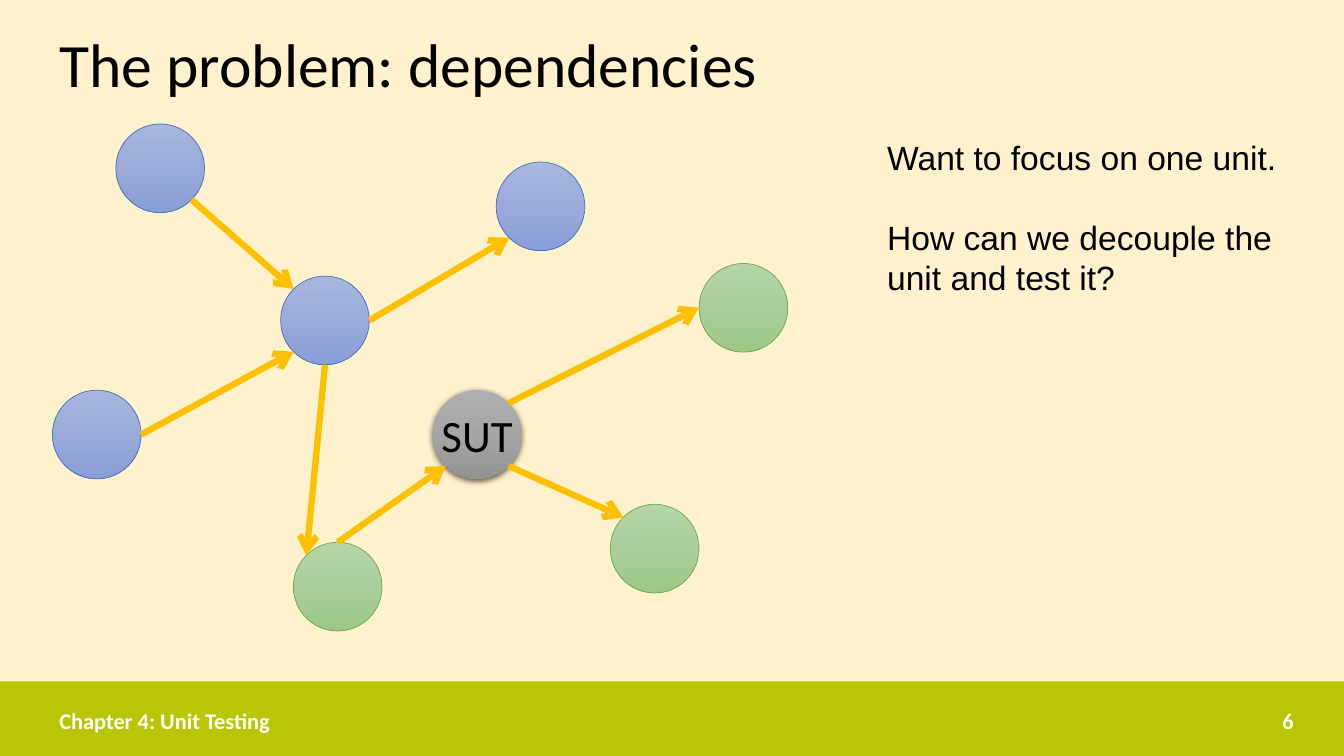
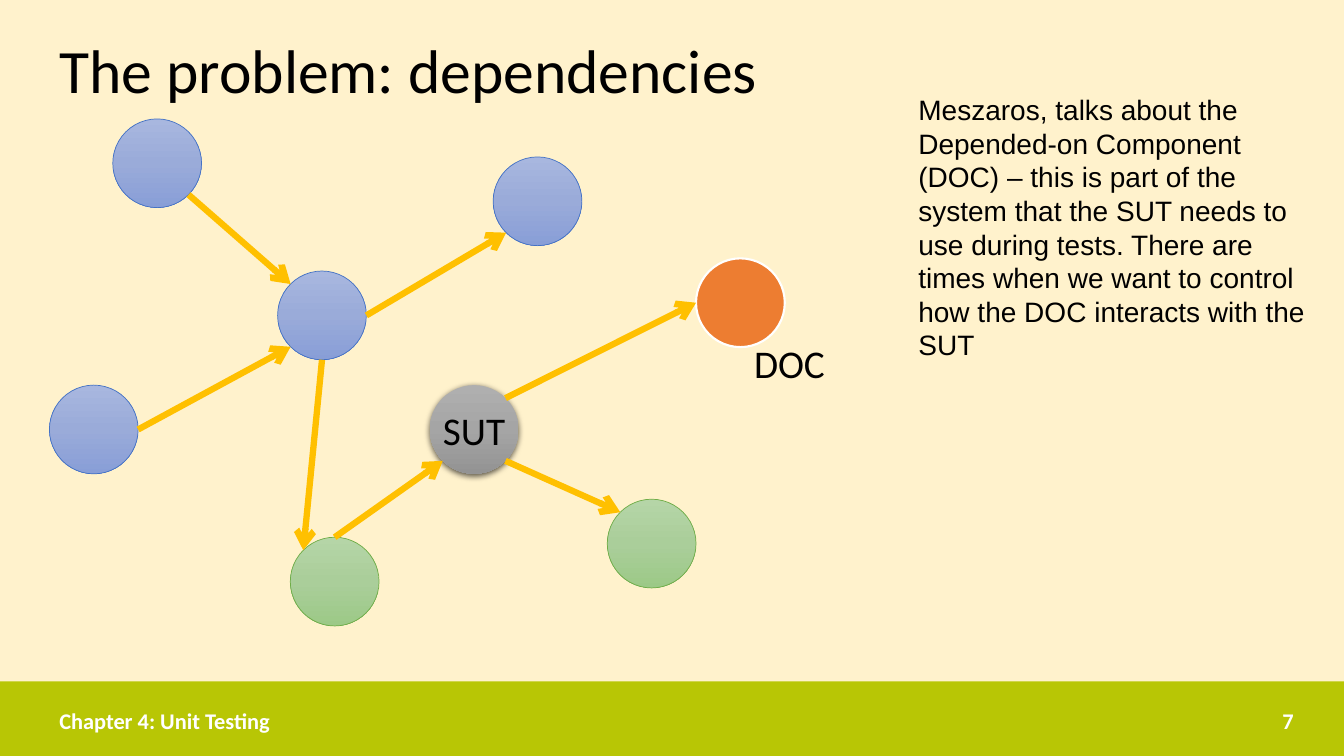
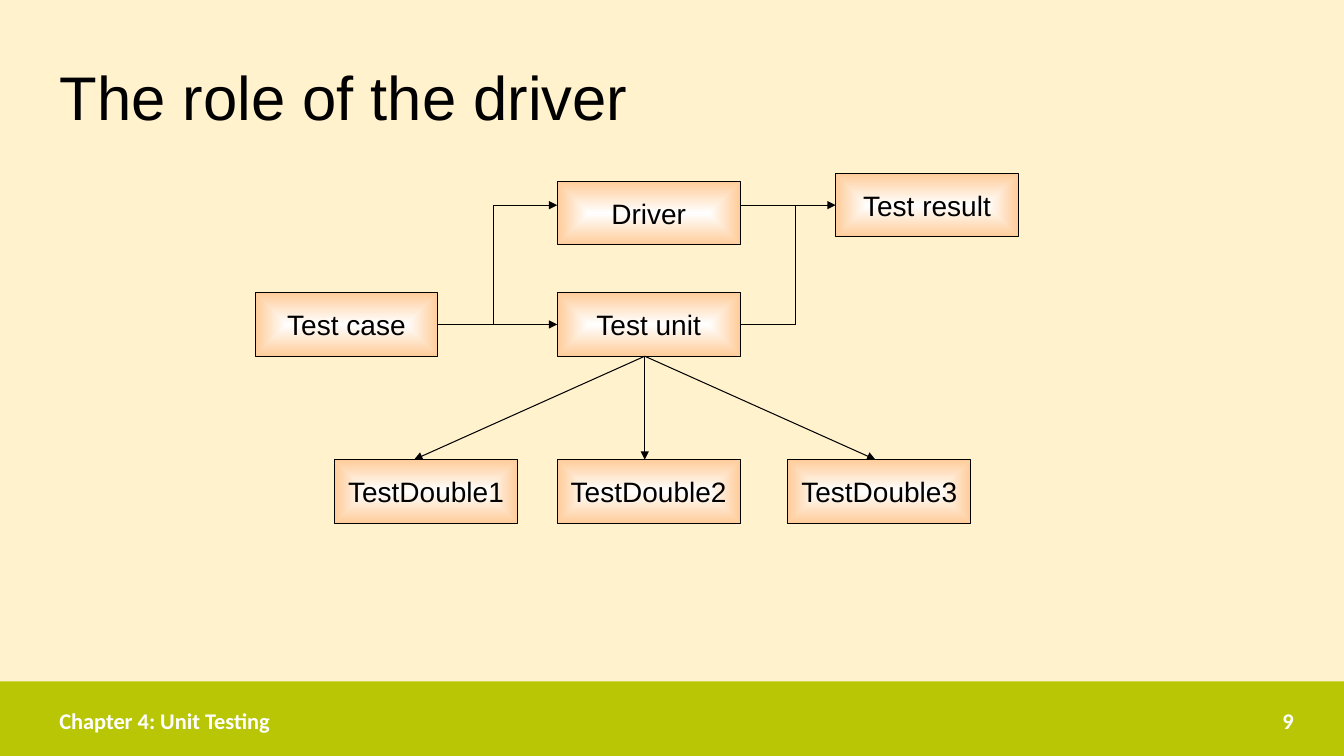
"""Build three unit-testing slides on dependencies and the role of the driver."""
import math

import pptx
import pptx.dml.color
import pptx.enum.shapes
import pptx.enum.text
import pptx.oxml
import pptx.oxml.ns
import pptx.util

WIDTH, HEIGHT = 13.33, 7.5
MARGIN = 0.49
NODE_CELL = WIDTH / 106
NODE_SPAN = 7
FLOW_CELL = WIDTH / 169
FLOW_ORIGIN = (2.53, 1.72)
BOX_COLUMNS, BOX_ROWS = 23, 8

COLOURS = {
    "background": "FFF2CC",
    "band": "B8C605",
    "text": "000000",
    "light": "FFFFFF",
    "dependency": "FFC000",
    "doc": "ED7D31",
    "unit_line": "4472C4",
    "collaborator_line": "70AD47",
}
GRADIENTS = {
    "unit": ["A8B7DF", "9AABD9", "889ED7"],
    "collaborator": ["B5D5A7", "AACE9A", "9CC987"],
    "sut": ["AFAFAF", "A5A5A5", "939393"],
    "box": ["FFFFFF", "FFCC99"],
}
NODES = {
    "hub": (18, 12, "unit"),
    "peer": (35, 3, "unit"),
    "doc": (51, 11, "collaborator"),
    "receiver": (44, 30, "collaborator"),
    "sut": (30, 21, "sut"),
    "caller": (19, 33, "collaborator"),
    "upper": (5, 0, "unit"),
    "lower": (0, 21, "unit"),
}
COMPASS = {"E": 0, "SE": 45, "S": 90, "SW": 135, "W": 180, "NW": 225, "N": 270, "NE": 315}
DEPENDENCIES = [
    ("upper", "SE", "hub", "NW"),
    ("lower", "E", "hub", "SW"),
    ("caller", "N", "sut", "SW"),
    ("hub", "S", "caller", "NW"),
    ("hub", "E", "peer", "SW"),
    ("sut", "NE", "doc", "W"),
    ("sut", "SE", "receiver", "NW"),
]
FLOW_BOXES = [
    ("TestDouble3", 67, 36),
    ("TestDouble2", 38, 36),
    ("TestDouble1", 10, 36),
    ("Test result", 73, 0),
    ("Test unit", 38, 15),
    ("Driver", 38, 1),
    ("Test case", 0, 15),
]
FLOW_LINES = [
    ((49, 23), (20, 36), "triangle"),
    ((49, 23), (49, 36), "triangle"),
    ((49, 23), (78, 36), "triangle"),
    ((23, 19), (38, 19), "triangle"),
    ((30, 19), (30, 4), None),
    ((30, 4), (38, 4), "triangle"),
    ((61, 4), (73, 4), "triangle"),
    ((61, 19), (68, 19), None),
    ((68, 4), (68, 19), None),
]


def inches(*lengths):
    """Convert lengths to slide units."""
    return [pptx.util.Inches(length) for length in lengths]


def rgb(name):
    """Look up a colour by its role."""
    return pptx.dml.color.RGBColor.from_string(COLOURS[name])


def drawing(markup):
    """Make a drawing element from markup."""
    tag, rest = markup[1:].split(" ", 1)
    return pptx.oxml.parse_xml(f"<{tag} {pptx.oxml.ns.nsdecls('a')} {rest}")


def write(frame, paragraphs, size, font="Arial", colour="text", bold=False, align="LEFT", gap=0):
    """Fill a text frame with equally formatted paragraphs."""
    for index, words in enumerate(paragraphs):
        paragraph = frame.add_paragraph() if index else frame.paragraphs[0]
        paragraph.alignment = getattr(pptx.enum.text.PP_ALIGN, align)
        if index:
            paragraph.space_before = pptx.util.Pt(gap)
        run = paragraph.add_run()
        run.text = words
        run.font.name = font
        run.font.size = pptx.util.Pt(size)
        run.font.bold = bold
        run.font.color.rgb = rgb(colour)


def add_text(slide, box, paragraphs, size, anchor="TOP", wrap=True, **style):
    """Add a text box."""
    frame = slide.shapes.add_textbox(*inches(*box)).text_frame
    frame.word_wrap = wrap
    frame.vertical_anchor = getattr(pptx.enum.text.MSO_ANCHOR, anchor)
    write(frame, paragraphs, size, **style)


def add_plain(slide, kind, box, line=None, weight=0.5):
    """Add a preset shape without shadow and with an optional outline."""
    shape = slide.shapes.add_shape(getattr(pptx.enum.shapes.MSO_SHAPE, kind), *inches(*box))
    shape.shadow.inherit = False
    if line:
        shape.line.color.rgb = rgb(line)
        shape.line.width = pptx.util.Pt(weight)
    else:
        shape.line.fill.background()
    return shape


def fill_solid(shape, colour):
    """Give a shape one colour."""
    shape.fill.solid()
    shape.fill.fore_color.rgb = rgb(colour)


def fill_gradient(shape, name, from_centre=False):
    """Give a shape evenly spaced gradient stops."""
    shape.fill.gradient()
    gradient = shape.element.spPr.find(pptx.oxml.ns.qn("a:gradFill"))
    gradient.clear()
    shades = GRADIENTS[name]
    stops = "".join(
        f'<a:gs pos="{index * 100000 // (len(shades) - 1)}"><a:srgbClr val="{shade}"/></a:gs>'
        for index, shade in enumerate(shades)
    )
    gradient.append(drawing(f"<a:gsLst >{stops}</a:gsLst>"))
    if from_centre:
        centre = '<a:fillToRect l="50000" t="50000" r="50000" b="50000"/>'
        gradient.append(drawing(f'<a:path path="shape">{centre}</a:path>'))
    else:
        gradient.append(drawing('<a:lin ang="5400000" scaled="0"/>'))


def cast_shadow(shape):
    """Drop a soft shadow straight below a shape."""
    shape.element.spPr.find(pptx.oxml.ns.qn("a:effectLst")).append(drawing(
        '<a:outerShdw blurRad="57150" dist="19050" dir="5400000" algn="ctr" rotWithShape="0">'
        '<a:srgbClr val="000000"><a:alpha val="63000"/></a:srgbClr></a:outerShdw>'
    ))


def label_inside(shape, words, size, font):
    """Centre a label in a shape."""
    frame = shape.text_frame
    frame.word_wrap = False
    frame.margin_left = frame.margin_right = frame.margin_top = frame.margin_bottom = 0
    frame.vertical_anchor = pptx.enum.text.MSO_ANCHOR.MIDDLE
    write(frame, [words], size, font=font, align="CENTER")


def add_line(slide, start, end, colour, weight, head):
    """Draw a straight line with an optional arrowhead."""
    straight = pptx.enum.shapes.MSO_CONNECTOR.STRAIGHT
    line = slide.shapes.add_connector(straight, *inches(*start, *end))
    line.line.color.rgb = rgb(colour)
    line.line.width = pptx.util.Pt(weight)
    properties = line.element.spPr
    if head:
        properties.find(pptx.oxml.ns.qn("a:ln")).append(drawing(f'<a:tailEnd type="{head}"/>'))
    properties.append(drawing("<a:effectLst />"))


def add_slide(deck, title, number, top, height, font="Calibri"):
    """Add a slide with its title and footer."""
    slide = deck.slides.add_slide(deck.slide_layouts[5])
    heading = slide.shapes.title
    heading.left, heading.top, heading.width, heading.height = inches(
        MARGIN, top, WIDTH - 2 * MARGIN + 0.08, height)
    frame = heading.text_frame
    frame.auto_size = pptx.enum.text.MSO_AUTO_SIZE.NONE
    frame.vertical_anchor = pptx.enum.text.MSO_ANCHOR.MIDDLE
    write(frame, [title], 44, font=font)
    frame.paragraphs[0].line_spacing = 0.9
    footer = {"anchor": "MIDDLE", "font": "Calibri", "colour": "light", "bold": True}
    add_text(slide, (MARGIN, 6.95, 6.19, 0.4), ["Chapter 4: Unit Testing"], 16, **footer)
    add_text(slide, (9.42, 6.95, 3.51, 0.4), [str(number)], 16, align="RIGHT", **footer)
    return slide


def style_master(deck, slide):
    """Put the background and the footer band on the master."""
    master = deck.slide_master
    master.background.fill.solid()
    master.background.fill.fore_color.rgb = rgb("background")
    band = add_plain(slide, "RECTANGLE", (0, 6.76, WIDTH, HEIGHT - 6.76))
    fill_solid(band, "band")
    master.shapes.element.insert(2, band.element)


def node_site(origin, node, direction):
    """Find a compass point on the rim of a node."""
    angle = math.radians(COMPASS[direction])
    radius = NODE_SPAN / 2
    steps = (math.cos(angle), math.sin(angle))
    return [start + (cell + radius + radius * step) * NODE_CELL
            for start, cell, step in zip(origin, NODES[node], steps)]


def add_network(slide, origin, label_size, highlight=None):
    """Draw the units and their dependencies."""
    left, top = origin
    diameter = NODE_SPAN * NODE_CELL
    for name, (column, row, kind) in NODES.items():
        box = (left + column * NODE_CELL, top + row * NODE_CELL, diameter, diameter)
        if name == highlight:
            fill_solid(add_plain(slide, "OVAL", box, "light", 1.5), "doc")
            continue
        outline = None if kind == "sut" else f"{kind}_line"
        node = add_plain(slide, "OVAL", box, outline)
        fill_gradient(node, kind)
        if kind == "sut":
            cast_shadow(node)
            label_inside(node, "SUT", label_size, "Calibri")
    for source, leaving, target, entering in DEPENDENCIES:
        add_line(slide, node_site(origin, source, leaving), node_site(origin, target, entering),
                 "dependency", 4.5, "arrow")


def flow_point(column, row):
    """Place a cell of the driver diagram on the slide."""
    left, top = FLOW_ORIGIN
    return left + column * FLOW_CELL, top + row * FLOW_CELL


def add_driver_flow(slide):
    """Draw the boxes and lines around the driver."""
    size = (BOX_COLUMNS * FLOW_CELL, BOX_ROWS * FLOW_CELL)
    for words, column, row in FLOW_BOXES:
        box = add_plain(slide, "RECTANGLE", (*flow_point(column, row), *size), "text", 0.75)
        fill_gradient(box, "box", from_centre=True)
        label_inside(box, words, 20, "Arial")
    for start, end, head in FLOW_LINES:
        add_line(slide, flow_point(*start), flow_point(*end), "text", 0.75, head)


def main():
    """Build and save the deck."""
    deck = pptx.Presentation()
    deck.slide_width, deck.slide_height = inches(WIDTH, HEIGHT)

    problem = add_slide(deck, "The problem: dependencies", 6, -0.05, 1.45)
    style_master(deck, problem)
    add_network(problem, (0.52, 1.23), 32)
    add_text(problem, (8.7, 1.31, 4.22, 1.72),
             ["Want to focus on one unit.", "How can we decouple the unit and test it?"], 24, gap=28)

    component = add_slide(deck, "The problem: dependencies", 7, 0.27, 0.91)
    add_network(component, (0.49, 1.18), 28, highlight="doc")
    add_text(component, (9.01, 0.87, 4.04, 2.79), [
        "Meszaros, talks about the Depended-on Component (DOC) – this is part of the system "
        "that the SUT needs to use during tests. There are times when we want to control "
        "how the DOC interacts with the SUT"], 20)
    add_text(component, (7.38, 3.32, 0.91, 0.57), ["DOC"], 28, wrap=False, font="Calibri")

    driver = add_slide(deck, "The role of the driver", 9, 0.27, 1.45, font="Arial")
    add_driver_flow(driver)

    deck.save("out.pptx")


if __name__ == "__main__":
    main()
